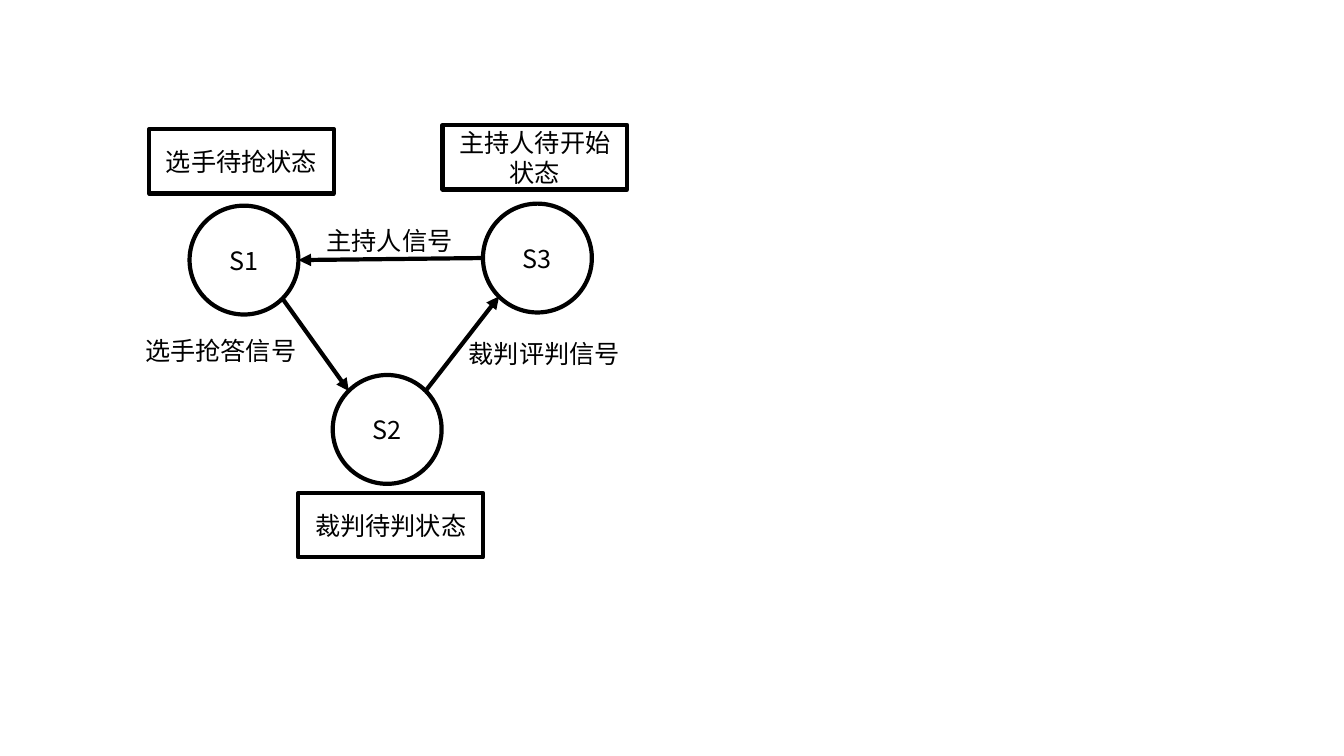
import math
from dataclasses import dataclass

from lxml import etree
from pptx import Presentation
from pptx.dml.color import RGBColor
from pptx.enum.shapes import MSO_CONNECTOR, MSO_SHAPE
from pptx.enum.text import MSO_ANCHOR, MSO_AUTO_SIZE, PP_ALIGN
from pptx.oxml.ns import qn
from pptx.util import Pt

OVAL, RECTANGLE = MSO_SHAPE.OVAL, MSO_SHAPE.RECTANGLE
STRAIGHT = MSO_CONNECTOR.STRAIGHT
MIDDLE, CENTER, LEFT = MSO_ANCHOR.MIDDLE, PP_ALIGN.CENTER, PP_ALIGN.LEFT
GROW = MSO_AUTO_SIZE.SHAPE_TO_FIT_TEXT
PX = 9144  # 100 px to the inch


@dataclass
class Theme:
    font: str = "Noto Sans CJK SC"
    text_size: int = 18
    line_width: int = 3
    ink: RGBColor = RGBColor(0, 0, 0)
    paper: RGBColor = RGBColor(255, 255, 255)


theme = Theme()


def write_text(shape, text, alignment):
    frame = shape.text_frame
    frame.word_wrap = True
    frame.text = text
    paragraph = frame.paragraphs[0]
    paragraph.alignment = alignment
    font = paragraph.runs[0].font
    font.size = Pt(theme.text_size)
    font.color.rgb = theme.ink
    font.name = theme.font
    east_asian = etree.SubElement(paragraph.runs[0].font._element, qn("a:ea"))
    east_asian.set("typeface", theme.font)


def add_outlined(kind, left, top, width, height, text):
    shape = slide.shapes.add_shape(kind, left * PX, top * PX, width * PX, height * PX)
    shape.shadow.inherit = False
    shape.fill.solid()
    shape.fill.fore_color.rgb = theme.paper
    shape.line.color.rgb = theme.ink
    shape.line.width = Pt(theme.line_width)
    write_text(shape, text, CENTER)
    shape.text_frame.vertical_anchor = MIDDLE


presentation = Presentation()
presentation.slide_width = 1333 * PX
presentation.slide_height = 750 * PX
slide = presentation.slides.add_slide(presentation.slide_layouts[6])

# State circles, given by their centres
RADIUS = 54
centers = {"S1": (242, 258), "S3": (533, 256), "S2": (384, 426)}
for name, (x, y) in centers.items():
    add_outlined(OVAL, x - RADIUS, y - RADIUS, 2 * RADIUS, 2 * RADIUS, name)

# Transition arrows: state and angle on its rim, clockwise from the right
transitions = [
    (("S1", 45), ("S2", 225)),
    (("S2", 315), ("S3", 135)),
    (("S3", 180), ("S1", 0)),
]
for ends in transitions:
    points = []
    for name, angle in ends:
        x, y = centers[name]
        points.append(round(x + RADIUS * math.cos(math.radians(angle))) * PX)
        points.append(round(y + RADIUS * math.sin(math.radians(angle))) * PX)
    arrow = slide.shapes.add_connector(STRAIGHT, *points)
    arrow.line.color.rgb = theme.ink
    arrow.line.width = Pt(theme.line_width)
    etree.SubElement(arrow.line._get_or_add_ln(), qn("a:tailEnd")).set("type", "triangle")
    etree.SubElement(arrow._element.spPr, qn("a:effectLst"))

# State descriptions
for left, top, text in [
    (148, 128, "选手待抢状态"),
    (439, 124, "主持人待开始状态"),
    (296, 489, "裁判待判状态"),
]:
    add_outlined(RECTANGLE, left, top, 183, 64, text)

# Signal labels
for left, top, width, text in [
    (314, 219, 148, "主持人信号"),
    (134, 328, 183, "选手抢答信号"),
    (455, 331, 183, "裁判评判信号"),
]:
    label = slide.shapes.add_textbox(left * PX, top * PX, width * PX, 40 * PX)
    write_text(label, text, LEFT)
    label.text_frame.auto_size = GROW

presentation.save("out.pptx")
